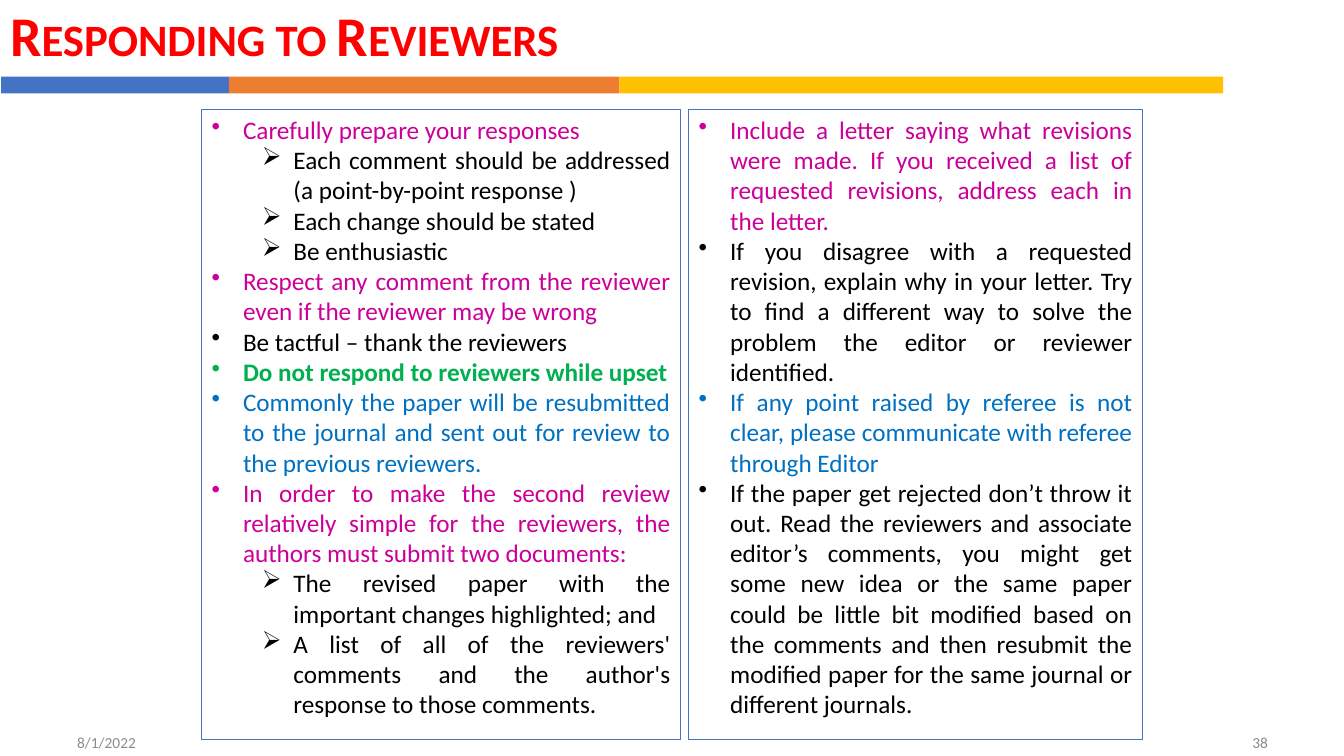
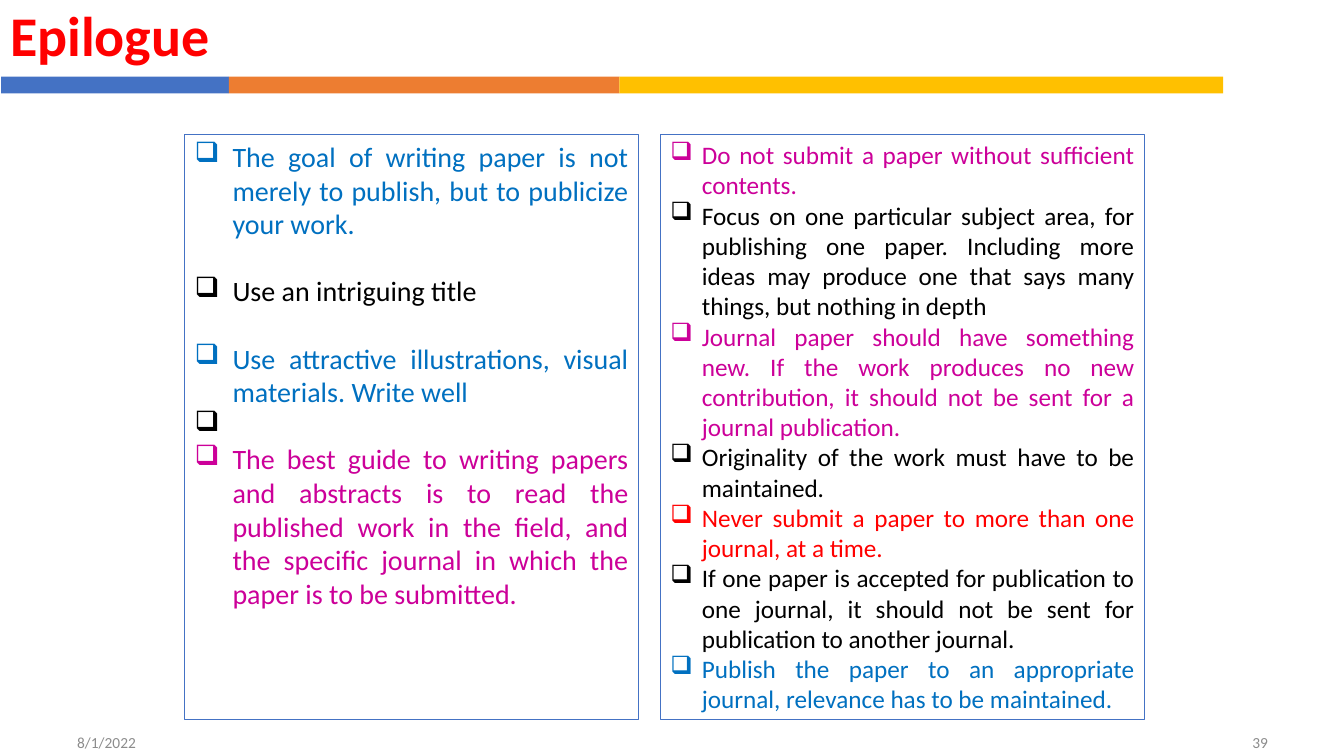
from dataclasses import dataclass

from pptx import Presentation
from pptx.dml.color import RGBColor
from pptx.enum.shapes import MSO_SHAPE
from pptx.enum.text import MSO_ANCHOR, MSO_AUTO_SIZE, PP_ALIGN
from pptx.oxml.ns import qn
from pptx.util import Emu, Pt
from lxml import etree

RECTANGLE = MSO_SHAPE.RECTANGLE
TOP, MIDDLE = MSO_ANCHOR.TOP, MSO_ANCHOR.MIDDLE
LEFT, RIGHT, JUSTIFY = PP_ALIGN.LEFT, PP_ALIGN.RIGHT, PP_ALIGN.JUSTIFY
NO_AUTOFIT = MSO_AUTO_SIZE.NONE

EMU_PER_PX = 9525
FONT = "Calibri"
BLUE, ORANGE, YELLOW = "4472C4", "ED7D31", "FFC000"
RED, PINK, GREEN, SKY, BLACK, GREY = "FF0000", "CC0099", "00B050", "0070C0", "000000", "8C8C8C"
DOT, ARROW, SQUARE = "•", "➢", "❑"

TITLE_BOX = (0, 0, 1165, 73)
BANDS = ((217, BLUE), (372, ORANGE), (575, YELLOW))
BAND_LEFT, BAND_TOP, BAND_HEIGHT = 1, 73, 16
DATE = "8/1/2022"
DATE_BOX = (64, 688, 299, 38)
NUMBER_BOX = (918, 688, 299, 38)
LEVEL_STEP = 48


@dataclass
class Item:
    """One bulleted paragraph of a panel."""
    text: str
    colour: str = BLACK
    level: int = 0
    bold: bool = False
    gap: int = 0


@dataclass
class Panel:
    """An outlined box with its list and bullet style."""
    box: tuple
    items: list
    bullets: str
    size: int = 18
    hang: int = 30


RESPONSE_PANELS = [
    Panel((192, 104, 456, 600), [
        Item("Carefully prepare your responses", PINK),
        Item("Each comment should be addressed (a point-by-point response )", level=1),
        Item("Each change should be stated", level=1),
        Item("Be enthusiastic", level=1),
        Item("Respect any comment from the reviewer even if the reviewer may be wrong", PINK),
        Item("Be tactful – thank the reviewers"),
        Item("Do not respond to reviewers while upset", GREEN, bold=True),
        Item("Commonly the paper will be resubmitted to the journal and sent out for review "
             "to the previous reviewers.", SKY),
        Item("In order to make the second review relatively simple for the reviewers, "
             "the authors must submit two documents:", PINK),
        Item("The revised paper with the important changes highlighted; and", level=1),
        Item("A list of all of the reviewers' comments and the author's response "
             "to those comments.", level=1),
    ], DOT + ARROW),
    Panel((656, 104, 432, 600), [
        Item("Include a letter saying what revisions were made. If you received a list of "
             "requested revisions, address each in the letter.", PINK),
        Item("If you disagree with a requested revision, explain why in your letter. Try to "
             "find a different way to solve the problem the editor or reviewer identified."),
        Item("If any point raised by referee is not clear, please communicate with referee "
             "through Editor", SKY),
        Item("If the paper get rejected don’t throw it out. Read the reviewers and associate "
             "editor’s comments, you might get some new idea or the same paper could be little "
             "bit modified based on the comments and then resubmit the modified paper for the "
             "same journal or different journals."),
    ], DOT),
]

EPILOGUE_PANELS = [
    Panel((176, 128, 432, 557), [
        Item("The goal of writing paper is not merely to publish, but to publicize your work.",
             SKY, gap=24),
        Item("Use an intriguing title", gap=24),
        Item("Use attractive illustrations, visual materials. Write well", SKY),
        Item(" "),
        Item("The best guide to writing papers and abstracts is to read the published work in "
             "the field, and the specific journal in which the paper is to be submitted.", PINK),
    ], SQUARE, size=20, hang=36),
    Panel((629, 128, 461, 557), [
        Item("Do not submit a paper without sufficient contents.", PINK),
        Item("Focus on one particular subject area, for publishing one paper. Including more "
             "ideas may produce one that says many things, but nothing in depth"),
        Item("Journal paper should have something new. If the work produces no new "
             "contribution, it should not be sent for a journal publication.", PINK),
        Item("Originality of the work must have to be maintained."),
        Item("Never submit a paper to more than one journal, at a time.", RED),
        Item("If one paper is accepted for publication to one journal, it should not be sent "
             "for publication to another journal."),
        Item("Publish the paper to an appropriate journal, relevance has to be maintained.", SKY),
    ], SQUARE),
]


def px(length):
    """Turn pixels into EMU."""
    return Emu(length * EMU_PER_PX)


def colour(value):
    """Turn a hex string into a colour."""
    return RGBColor.from_string(value)


def format_runs(para, size, value, bold=False):
    """Give every run of a paragraph the deck font."""
    for span in para.runs:
        span.font.name = FONT
        span.font.size = Pt(size)
        span.font.bold = bold
        span.font.color.rgb = colour(value)


def add_rectangle(page, box, fill=None, line=None):
    """Add a flat rectangle with an optional fill and outline."""
    shape = page.shapes.add_shape(RECTANGLE, *map(px, box))
    shape.shadow.inherit = False
    if fill:
        shape.fill.solid()
        shape.fill.fore_color.rgb = colour(fill)
    else:
        shape.fill.background()
    if line:
        shape.line.color.rgb = colour(line)
        shape.line.width = Pt(0.75)
    else:
        shape.line.fill.background()
    return shape


def set_title(page, text, small_caps):
    """Place and format the title placeholder."""
    title = page.shapes.title
    title.left, title.top, title.width, title.height = map(px, TITLE_BOX)
    frame = title.text_frame
    frame.text = text
    frame.auto_size = NO_AUTOFIT
    frame.vertical_anchor = MIDDLE
    para = frame.paragraphs[0]
    para.alignment = LEFT
    para.line_spacing = 0.9
    para.space_before = Pt(10)
    format_runs(para, 40, RED, bold=True)
    if small_caps:
        para.runs[0].font._element.set("cap", "small")


def add_bands(page):
    """Draw the three-colour rule under the title."""
    left = BAND_LEFT
    for width, fill in BANDS:
        add_rectangle(page, (left, BAND_TOP, width, BAND_HEIGHT), fill=fill)
        left += width


def add_footer(page, box, text, alignment):
    """Add one grey footer text."""
    frame = page.shapes.add_textbox(*map(px, box)).text_frame
    frame.word_wrap = True
    frame.vertical_anchor = MIDDLE
    frame.text = text
    para = frame.paragraphs[0]
    para.alignment = alignment
    format_runs(para, 11, GREY)


def set_bullet(para, mark, margin, hang):
    """Give a paragraph a hanging bullet."""
    properties = para._p.get_or_add_pPr()
    properties.set("marL", str(px(margin)))
    properties.set("indent", str(px(-hang)))
    etree.SubElement(properties, qn("a:buChar")).set("char", mark)


def add_panel(page, panel):
    """Draw an outlined box holding a justified bullet list."""
    frame = add_rectangle(page, panel.box, line=BLUE).text_frame
    frame.word_wrap = True
    frame.vertical_anchor = TOP
    for index, item in enumerate(panel.items):
        para = frame.add_paragraph() if index else frame.paragraphs[0]
        para.text = item.text
        para.alignment = JUSTIFY
        para.level = item.level
        para.space_after = Pt(item.gap)
        format_runs(para, panel.size, item.colour, item.bold)
        margin = panel.hang + item.level * LEVEL_STEP
        set_bullet(para, panel.bullets[item.level], margin, panel.hang)


def add_page(deck, title, number, panels, small_caps=False):
    """Build one slide of list panels."""
    page = deck.slides.add_slide(deck.slide_layouts[5])
    add_bands(page)
    set_title(page, title, small_caps)
    add_footer(page, DATE_BOX, DATE, LEFT)
    add_footer(page, NUMBER_BOX, str(number), RIGHT)
    for panel in panels:
        add_panel(page, panel)


def main():
    """Build and save the deck."""
    deck = Presentation()
    deck.slide_width, deck.slide_height = px(1280), px(720)
    add_page(deck, "Responding to Reviewers", 38, RESPONSE_PANELS, small_caps=True)
    add_page(deck, "Epilogue", 39, EPILOGUE_PANELS)
    deck.save("out.pptx")


if __name__ == "__main__":
    main()
